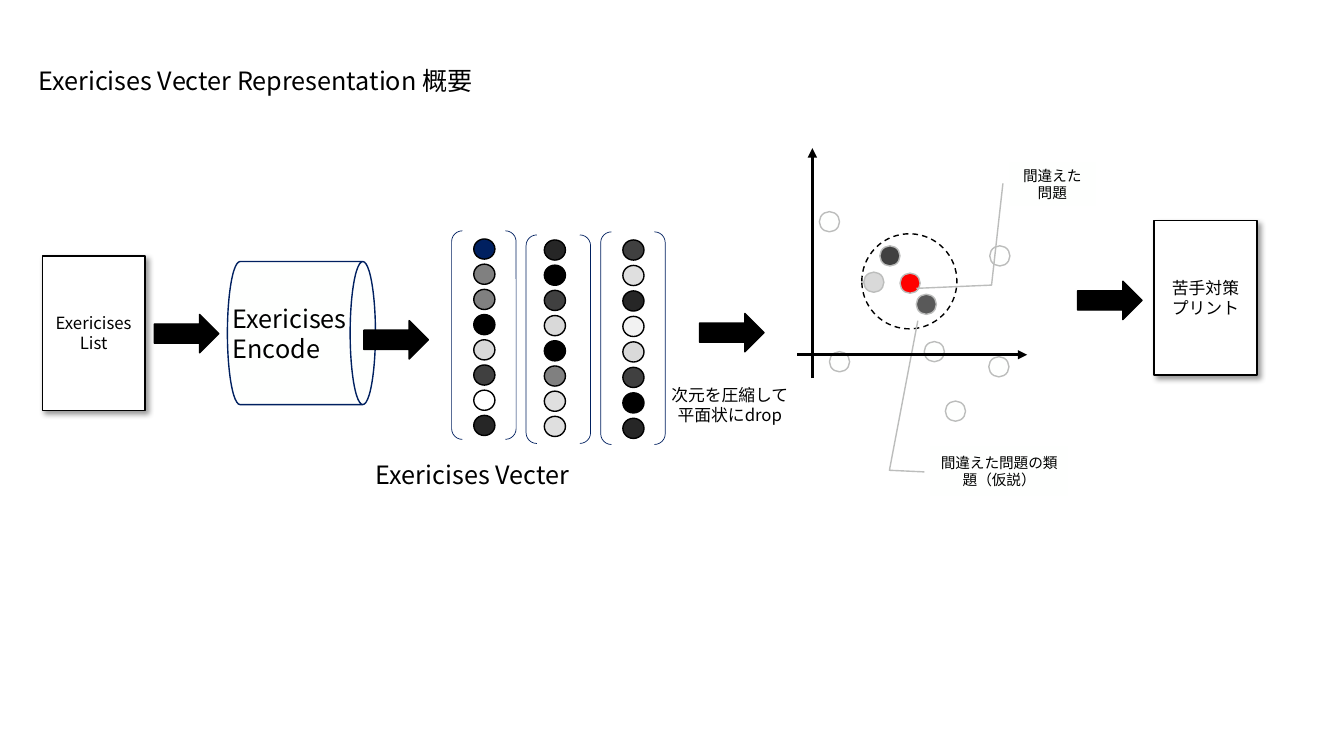
from lxml import etree
from pptx import Presentation
from pptx.dml.color import RGBColor
from pptx.enum import dml, shapes, text
from pptx.oxml import ns
from pptx.util import Pt

FONT = "Noto Sans CJK JP"
BLACK = RGBColor(0x00, 0x00, 0x00)
WHITE = RGBColor(0xFF, 0xFF, 0xFF)
OFF_WHITE = RGBColor(0xFE, 0xFF, 0xFE)
NAVY = RGBColor(0x00, 0x20, 0x60)
RED = RGBColor(0xFF, 0x00, 0x00)
CHARCOAL = RGBColor(0x26, 0x26, 0x26)
DARK = RGBColor(0x40, 0x40, 0x40)
SLATE = RGBColor(0x59, 0x59, 0x59)
GREY = RGBColor(0x80, 0x80, 0x80)
OUTLINE = RGBColor(0xBC, 0xBD, 0xBC)
LIGHT = RGBColor(0xD9, 0xD9, 0xD9)
PALE = RGBColor(0xDF, 0xDF, 0xDF)
FAINT = RGBColor(0xF2, 0xF2, 0xF2)

KIND = shapes.MSO_SHAPE
CENTER = text.PP_ALIGN.CENTER
LEFT = text.PP_ALIGN.LEFT


def write(frame, words, size, align):
    frame.text = words
    for paragraph in frame.paragraphs:
        paragraph.alignment = align
        for run in paragraph.runs:
            run.font.size = Pt(size)
            run.font.name = FONT
            run.font.color.rgb = BLACK
            east_asian = etree.SubElement(run._r.get_or_add_rPr(), ns.qn("a:ea"))
            east_asian.set("typeface", FONT)


def fit(frame):
    frame.word_wrap = False
    frame.auto_size = text.MSO_AUTO_SIZE.SHAPE_TO_FIT_TEXT


def add_figure(slide, kind, box, fill=None, line=BLACK, weight=1):
    figure = slide.shapes.add_shape(kind, *map(Pt, box))
    figure.shadow.inherit = False
    if fill is None:
        figure.fill.background()
    else:
        figure.fill.solid()
        figure.fill.fore_color.rgb = fill
    figure.line.color.rgb = line
    figure.line.width = Pt(weight)
    return figure


def add_label(slide, box, words, size, align=LEFT):
    label = slide.shapes.add_textbox(*map(Pt, box))
    write(label.text_frame, words, size, align)
    fit(label.text_frame)


def add_heading(slide, box, words):
    heading = slide.shapes.title
    heading.left, heading.top, heading.width, heading.height = map(Pt, box)
    write(heading.text_frame, words, 18, LEFT)
    heading.text_frame.vertical_anchor = text.MSO_ANCHOR.TOP
    fit(heading.text_frame)


def add_sheet(slide, box, words):
    sheet = add_figure(slide, KIND.RECTANGLE, box, WHITE)
    write(sheet.text_frame, words, 12, CENTER)
    sheet.text_frame.vertical_anchor = text.MSO_ANCHOR.MIDDLE
    effects = sheet._element.spPr.find(ns.qn("a:effectLst"))
    shadow = etree.SubElement(effects, ns.qn("a:outerShdw"), blurRad=str(Pt(4)),
                              dist=str(Pt(3)), dir="2700000", algn="tl", rotWithShape="0")
    shade = etree.SubElement(shadow, ns.qn("a:srgbClr"), val=str(BLACK))
    etree.SubElement(shade, ns.qn("a:alpha"), val="40000")


def add_encoder(slide, box):
    left, top, width, height = box
    drum = add_figure(slide, KIND.CAN, box, OFF_WHITE, NAVY)
    drum.adjustments[0] = 0.177
    drum.rotation = 90
    add_label(slide, (left - 5, top + 28, 98.6, 51.1), "Exericises\nEncode", 18)


def add_arrow(slide, left, top):
    add_figure(slide, KIND.RIGHT_ARROW, (left, top, 46.1, 27.4), BLACK)


def add_vector(slide, box, first, pitch, shades):
    left, top, width, height = box
    add_figure(slide, KIND.DOUBLE_BRACKET, box, line=NAVY, weight=0.5)
    dx, dy = first
    for row, shade in enumerate(shades):
        add_figure(slide, KIND.OVAL, (left + dx, top + dy + row * pitch, 15.1, 14.4), shade)


def add_axis(slide, start, end):
    axis = slide.shapes.add_connector(shapes.MSO_CONNECTOR.STRAIGHT, *map(Pt, start + end))
    axis.line.color.rgb = BLACK
    axis.line.width = Pt(2.25)
    etree.SubElement(axis.line._get_or_add_ln(), ns.qn("a:tailEnd"), type="triangle")
    etree.SubElement(axis._element.spPr, ns.qn("a:effectLst"))


def add_callout(slide, box, words, bends):
    callout = add_figure(slide, KIND.LINE_CALLOUT_2_NO_BORDER, box, OFF_WHITE, OUTLINE)
    for index, bend in enumerate(bends):
        callout.adjustments[index] = bend
    write(callout.text_frame, words, 10.5, CENTER)
    callout.text_frame.vertical_anchor = text.MSO_ANCHOR.MIDDLE


def add_plot(slide, box):
    left, top, width, height = box
    exercises = [
        (59, 69.8, DARK), (85, 104.4, SLATE), (73.4, 89.3, RED), (47.5, 88.6, LIGHT),
        (105.8, 180.7, OFF_WHITE), (90.7, 138.2, OFF_WHITE), (136.8, 149, OFF_WHITE),
        (137.5, 69.8, OFF_WHITE), (15.8, 45.4, OFF_WHITE), (23, 145.4, OFF_WHITE),
    ]
    for dx, dy, shade in exercises:
        add_figure(slide, KIND.OVAL, (left + dx, top + dy, 14.4, 14.4), shade, OUTLINE)
    neighbourhood = add_figure(slide, KIND.OVAL, (left + 46.1, top + 61.2, 67.9, 67.9))
    neighbourhood.line.dash_style = dml.MSO_LINE.DASH
    add_callout(slide, (left + 151.2, top + 10.1, 61.9, 31), "間違えた問題",
                (0.488, -0.07, 2.83, -0.201, 2.905, -1.068))
    add_callout(slide, (left + 95, top + 213.1, 98.6, 35.3), "間違えた問題の類題（仮説）",
                (0.515, -0.043, 0.482, -0.296, -2.546, -0.09))
    add_axis(slide, (left + 10.8, top + height), (left + 10.8, top))
    add_axis(slide, (left, top + 147.6), (left + width, top + 147.6))


def build_overview(slide):
    add_heading(slide, (20.2, 43.2, 332.6, 28.8), "Exericises Vecter Representation 概要")
    add_sheet(slide, (30.2, 182.9, 73.4, 110.2), "Exericises\nList")
    add_encoder(slide, (164.2, 185, 102.2, 105.8))
    add_vector(slide, (322.6, 164.9, 46.1, 149), (15.8, 5.8), 18,
               [NAVY, GREY, GREY, BLACK, LIGHT, DARK, WHITE, CHARCOAL])
    add_vector(slide, (375.8, 167.8, 46.1, 149), (13, 3.6), 18,
               [CHARCOAL, BLACK, DARK, LIGHT, BLACK, GREY, PALE, PALE])
    add_vector(slide, (429.1, 165.6, 46.1, 151.9), (15.8, 5.8), 18.2,
               [DARK, PALE, CHARCOAL, FAINT, LIGHT, DARK, BLACK, CHARCOAL])
    add_label(slide, (261.4, 324.7, 158.4, 28.8), "Exericises Vecter", 18)
    add_label(slide, (471.6, 271.4, 99.4, 36), "次元を圧縮して\n平面状にdrop", 12, CENTER)
    add_plot(slide, (569.5, 105.8, 164.2, 164.2))
    for left, top in [(110.2, 224.6), (259.9, 229), (499.7, 223.9), (769.7, 200.9)]:
        add_arrow(slide, left, top)
    add_sheet(slide, (824.4, 157.7, 73.4, 110.2), "苦手対策\nプリント")


def main():
    deck = Presentation()
    deck.slide_width, deck.slide_height = Pt(960), Pt(540)
    build_overview(deck.slides.add_slide(deck.slide_layouts[5]))
    deck.save("out.pptx")


if __name__ == "__main__":
    main()
